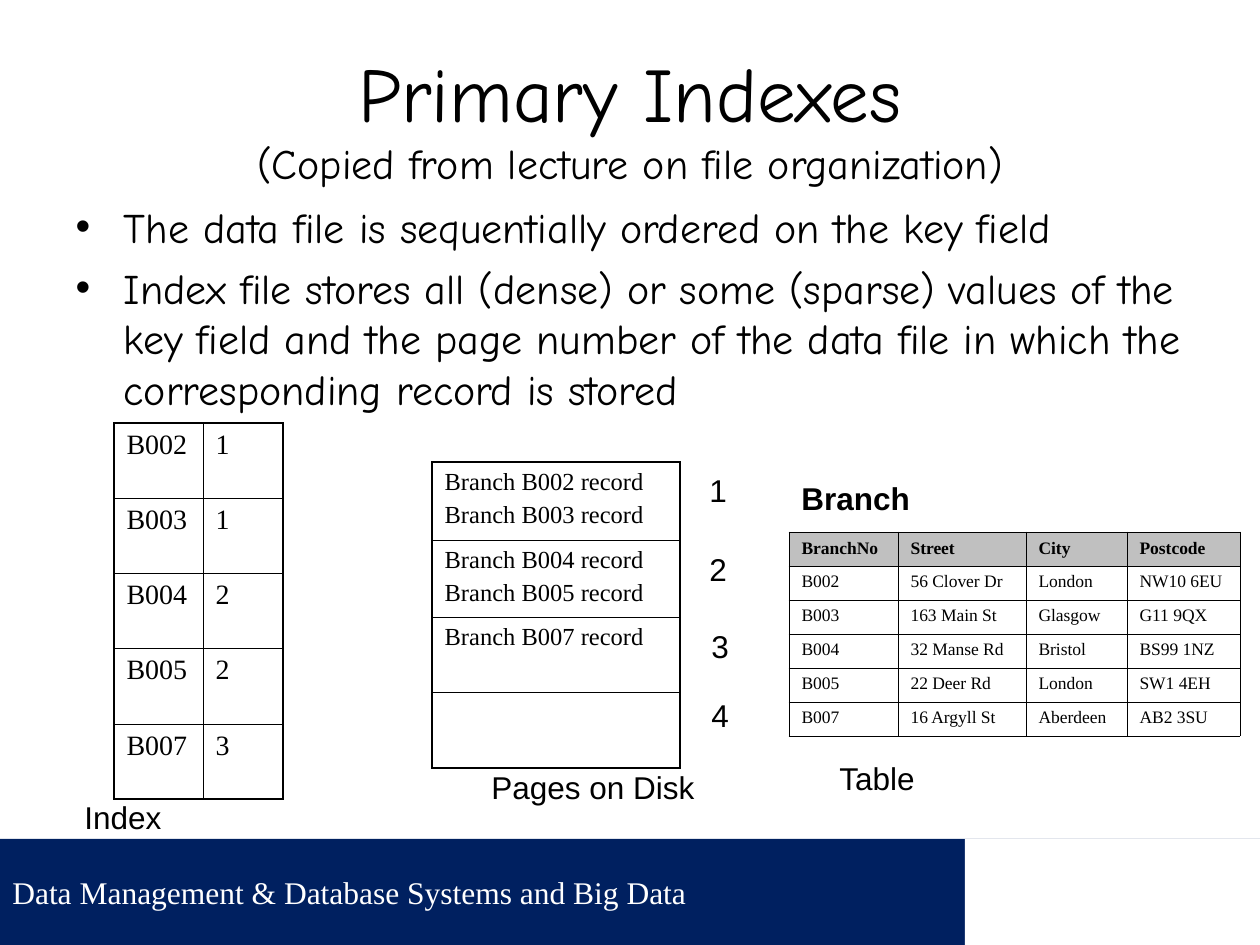
from dataclasses import dataclass

from lxml import etree
from pptx import Presentation
from pptx import util as u
from pptx.dml.color import RGBColor
from pptx.enum import shapes, text
from pptx.oxml.ns import qn

PX_PER_INCH = 126
SERIF, SANS, HAND = "Times New Roman", "Arial", "Comic Neue"
BLACK, WHITE, NAVY, GREY = "000000", "FFFFFF", "002060", "C0C0C0"
HANG = 48


@dataclass
class Label:
    text: str
    x: int
    y: int
    w: int
    h: int = 50


@dataclass
class Grid:
    x: int
    y: int
    cols: list[int]
    rows: list[int]
    cells: list[list[str]]
    size: int
    outer: float
    inner: float
    space_before: float = 0
    hang: int = 0
    header: str = ""
    fill: str = ""


LABELS = [
    Label("1", 697, 465, 43),
    Label("2", 697, 544, 43),
    Label("3", 699, 621, 43),
    Label("4", 699, 690, 43),
    Label("Table", 827, 753, 103),
    Label("Pages on Disk", 479, 762, 228),
    Label("Index", 72, 792, 102),
]

INDEX = Grid(
    114, 423, [89, 80], [75, 75, 75, 76, 75],
    [["B002", "1"], ["B003", "1"], ["B004", "2"], ["B005", "2"], ["B007", "3"]],
    size=16, outer=1.08, inner=0.45, space_before=4,
)
BRANCH = Grid(
    789, 532, [109, 128, 101, 113], [34] * 6,
    [
        ["BranchNo", "Street", "City", "Postcode"],
        ["B002", "56 Clover Dr", "London", "NW10 6EU"],
        ["B003", "163 Main St", "Glasgow", "G11 9QX"],
        ["B004", "32 Manse Rd", "Bristol", "BS99 1NZ"],
        ["B005", "22 Deer Rd", "London", "SW1 4EH"],
        ["B007", "16 Argyll St", "Aberdeen", "AB2 3SU"],
    ],
    size=10, outer=0.34, inner=0.34, hang=HANG, header=GREY, fill=WHITE,
)
PAGES = Grid(
    432, 462, [248], [78, 77, 75, 76],
    [
        ["Branch B002 record\nBranch B003 record"],
        ["Branch B004 record\nBranch B005 record"],
        ["Branch B007 record"],
        [""],
    ],
    size=14, outer=1.08, inner=0.45, space_before=3.5,
)

BULLETS = [
    "The data file is sequentially ordered on the key field",
    "Index file stores all (dense) or some (sparse) values of the key field and "
    "the page number of the data file in which the corresponding record is stored",
]


def px(n: int) -> int:
    return round(n * u.Inches(1) / PX_PER_INCH)


def rgb(value: str) -> RGBColor:
    return RGBColor.from_string(value)


def set_attrs(obj, **values) -> None:
    for name, value in values.items():
        setattr(obj, name, value)


def style_font(font, name: str, size: int, color: str = BLACK, bold: bool = False) -> None:
    set_attrs(font, name=name, size=u.Pt(size), bold=bold)
    font.color.rgb = rgb(color)


def place(sp, x: int, y: int, w: int, h: int) -> None:
    set_attrs(sp, left=px(x), top=px(y), width=px(w), height=px(h))


def hang_indent(p, hang: int) -> None:
    pPr = p._p.get_or_add_pPr()
    pPr.set("marL", str(px(hang)))
    pPr.set("indent", str(-px(hang)))


def add_rect(s, x: int, y: int, w: int, h: int, fill: str):
    sp = s.shapes.add_shape(shapes.MSO_SHAPE.RECTANGLE, px(x), px(y), px(w), px(h))
    sp.shadow.inherit = False
    sp.fill.solid()
    sp.fill.fore_color.rgb = rgb(fill)
    sp.line.fill.background()
    return sp


def write_left(sp, words: str, font: str, color: str = BLACK, bold: bool = False) -> None:
    sp.text_frame.vertical_anchor = text.MSO_ANCHOR.MIDDLE
    p = sp.text_frame.paragraphs[0]
    p.alignment = text.PP_ALIGN.LEFT
    r = p.add_run()
    r.text = words
    style_font(r.font, font, 18, color, bold)


def add_label(s, label: Label) -> None:
    sp = s.shapes.add_textbox(px(label.x), px(label.y), px(label.w), px(label.h))
    tf = sp.text_frame
    set_attrs(tf, word_wrap=False, auto_size=text.MSO_AUTO_SIZE.SHAPE_TO_FIT_TEXT)
    r = tf.paragraphs[0].add_run()
    r.text = label.text
    style_font(r.font, SANS, 18)


def add_border(cell, side: str, points: float) -> None:
    tcPr = cell._tc.get_or_add_tcPr()
    ln = etree.SubElement(tcPr, qn(f"a:ln{side}"), w=str(u.Pt(points)))
    fill = etree.SubElement(ln, qn("a:solidFill"))
    etree.SubElement(fill, qn("a:srgbClr"), val=BLACK)


def add_grid(s, grid: Grid) -> None:
    n_rows, n_cols = len(grid.rows), len(grid.cols)
    frame = s.shapes.add_table(n_rows, n_cols, px(grid.x), px(grid.y),
                               px(sum(grid.cols)), px(sum(grid.rows)))
    table = frame.table
    set_attrs(table, first_row=bool(grid.header), horz_banding=False)
    for column, width in zip(table.columns, grid.cols):
        column.width = px(width)
    for i, height in enumerate(grid.rows):
        table.rows[i].height = px(height)
        is_header = bool(grid.header) and i == 0
        for j, words in enumerate(grid.cells[i]):
            cell = table.cell(i, j)
            edges = {"L": j == 0, "R": j == n_cols - 1, "T": i == 0, "B": i == n_rows - 1}
            for side, is_outer in edges.items():
                add_border(cell, side, grid.outer if is_outer else grid.inner)
            fill = grid.header if is_header else grid.fill
            if fill:
                cell.fill.solid()
                cell.fill.fore_color.rgb = rgb(fill)
            else:
                cell.fill.background()
            if is_header:
                cell.vertical_anchor = text.MSO_ANCHOR.MIDDLE
            cell.text_frame.text = words
            for p in cell.text_frame.paragraphs:
                p.space_before = u.Pt(grid.space_before)
                hang_indent(p, grid.hang)
                for r in p.runs:
                    style_font(r.font, SERIF, grid.size, bold=is_header)


def fill_title(sp) -> None:
    place(sp, 63, 38, 1134, 157)
    sp.text_frame.auto_size = text.MSO_AUTO_SIZE.NONE
    p = sp.text_frame.paragraphs[0]
    p.alignment = text.PP_ALIGN.CENTER
    lines = [("Primary Indexes", 44), ("(Copied from lecture on file organization)", 24)]
    for i, (words, size) in enumerate(lines):
        if i:
            p.add_line_break()
        r = p.add_run()
        r.text = words
        style_font(r.font, HAND, size)


def fill_body(sp) -> None:
    place(sp, 63, 195, 1153, 232)
    tf = sp.text_frame
    tf.auto_size = text.MSO_AUTO_SIZE.NONE
    tf.text = "\n".join(BULLETS)
    for p in tf.paragraphs:
        p.space_before = u.Pt(6)
        hang_indent(p, HANG)
        style_font(p.runs[0].font, HAND, 24)


def main() -> None:
    prs = Presentation()
    set_attrs(prs, slide_width=u.Inches(10), slide_height=u.Inches(7.5))
    s = prs.slides.add_slide(prs.slide_layouts[1])
    fill_title(s.shapes.title)
    fill_body(s.placeholders[1])

    footer = add_rect(s, 0, 839, 1260, 106, NAVY)
    write_left(footer, "Data Management & Database Systems and Big Data", SERIF, WHITE)
    add_rect(s, 965, 839, 295, 106, WHITE)

    add_grid(s, INDEX)
    heading = add_rect(s, 789, 473, 134, 50, WHITE)
    write_left(heading, "Branch", SANS, bold=True)
    add_grid(s, BRANCH)
    add_grid(s, PAGES)
    for label in LABELS:
        add_label(s, label)
    prs.save("out.pptx")


if __name__ == "__main__":
    main()
